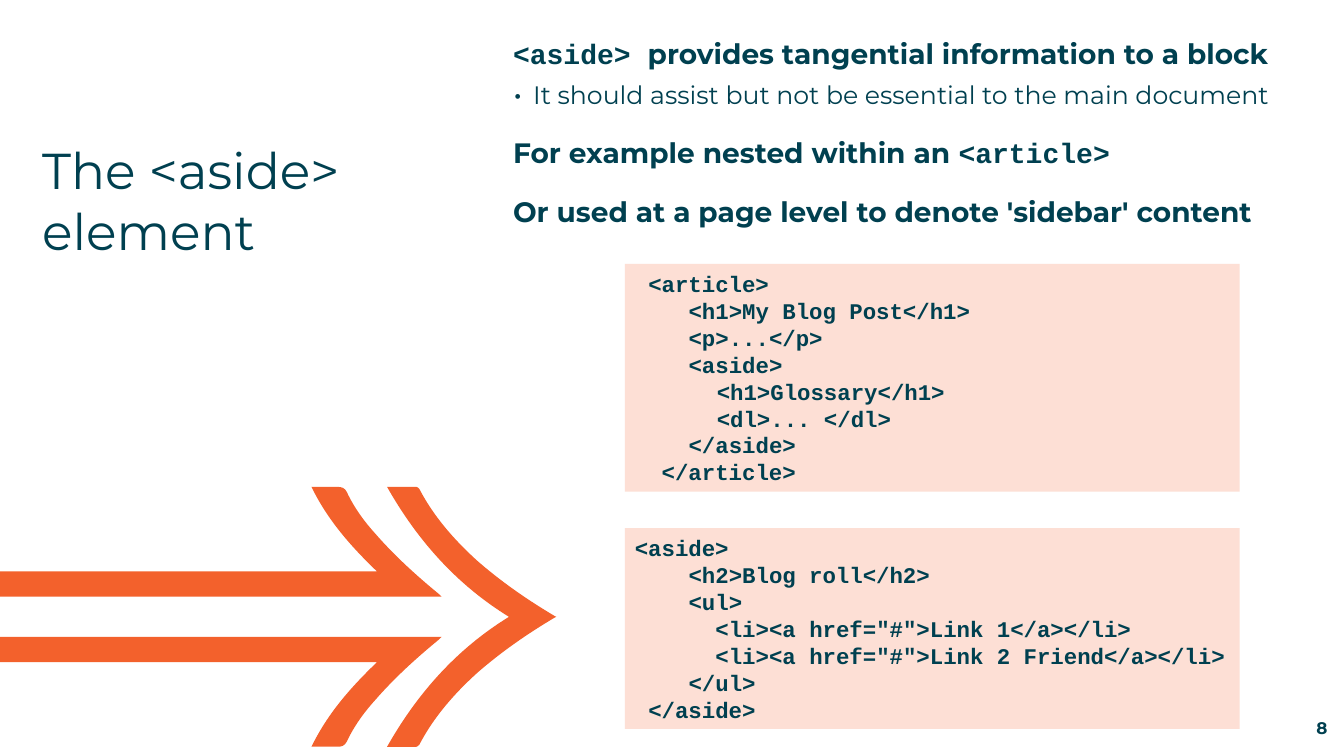
from lxml.etree import SubElement
from pptx import Presentation
from pptx.dml.color import RGBColor
from pptx.enum.shapes import MSO_SHAPE as Shape
from pptx.enum.text import MSO_ANCHOR as Anchor, PP_ALIGN as Align
from pptx.oxml.ns import qn
from pptx.util import Pt

TEAL = RGBColor(0x00, 0x40, 0x50)
ORANGE = RGBColor(0xF3, 0x61, 0x2C)
PEACH = RGBColor(0xFD, 0xDF, 0xD5)
SANS, MONO = "Montserrat", "Courier New"

CODE_SIZE = 16
CODE_CHAR = 0.6 * CODE_SIZE  # width of one monospaced character
AXIS = 440.6  # height of the arrow's line of symmetry

# Arrow outlines: lists of segments, one point for a line and three for a curve
SHAFT = [
    [(0, 426.2)], [(0, 408.2)], [(269.3, 408.2)],
    [(250.6, 390.2), (234, 371.5), (222.5, 347.8)], [(241.2, 347.8)],
    [(244.1, 347.8), (246.2, 348.5), (247.7, 351.4)],
    [(252.7, 362.2), (259.9, 372.2), (267.8, 380.9)],
    [(281.5, 396.7), (297.4, 411.1), (313.2, 424.1)], [(315.4, 426.2)],
]
CHEVRON_TOP = [
    [(363.6, AXIS)],
    [(326.2, 417.6), (298.1, 385.9), (276.5, 347.8)], [(297.4, 347.8)],
    [(298.1, 347.8), (298.8, 348.5), (299.5, 349.2)],
    [(309.6, 368.6), (324, 385.2), (340.6, 400.3)],
    [(357.8, 415.4), (376.6, 428.4), (396, 439.9)], [(397.4, AXIS)],
]


def mirrored(segments):
    return [[(x, 2 * AXIS - y) for x, y in segment] for segment in segments]


def backwards(segments):
    """The segments that lead from the end of an outline back to its start."""
    points = iter(sum(segments, [])[-2::-1])
    return [[next(points) for _ in segment] for segment in segments[:0:-1]]


class SlideBuilder:
    def __init__(self, slide):
        self.shapes = slide.shapes

    def style(self, paragraph, size, name=SANS, bold=False):
        font = paragraph.font
        font.name, font.size, font.bold = name, Pt(size), bold
        font.color.rgb = TEAL

    def plain(self, shape, color):
        shape.shadow.inherit = False
        shape.fill.solid()
        shape.fill.fore_color.rgb = color
        shape.line.fill.background()

    def freeform(self, segments):
        (x, y), *rest = [(Pt(x), Pt(y)) for x, y in sum(segments, [])]
        builder = self.shapes.build_freeform(x, y)
        builder.add_line_segments(rest)
        shape = builder.convert_to_shape()
        self.plain(shape, ORANGE)
        # Join each three points of a curve into one Bezier segment
        steps = iter(list(shape._element.iter(qn("a:lnTo"))))
        for segment in segments[1:]:
            first, *others = [next(steps) for _ in segment]
            if others:
                first.tag = qn("a:cubicBezTo")
            for step in others:
                first.append(step[0])
                step.getparent().remove(step)

    def text_frame(self, left, top, width, height, anchor=Anchor.TOP):
        frame = self.shapes.add_textbox(*map(Pt, (left, top, width, height))).text_frame
        frame.word_wrap = True
        frame.vertical_anchor = anchor
        frame.margin_left = frame.margin_right = frame.margin_top = frame.margin_bottom = 0
        return frame

    def label(self, box, text, size, bold=False, align=Align.LEFT, anchor=Anchor.TOP):
        paragraph = self.text_frame(*box, anchor).paragraphs[0]
        paragraph.text = text
        paragraph.alignment = align
        self.style(paragraph, size, bold=bold)

    def points(self, box, items):
        """Each item is (is_bullet, [(text, font name), ...])."""
        frame = self.text_frame(*box)
        for i, (is_bullet, runs) in enumerate(items):
            paragraph = frame.add_paragraph() if i else frame.paragraphs[0]
            paragraph.space_before = Pt(0 if is_bullet else 12)
            paragraph.space_after = Pt(6.5)
            if is_bullet:
                self.bullet(paragraph)
            self.style(paragraph, 18 if is_bullet else 20, bold=not is_bullet)
            for text, name in runs:
                run = paragraph.add_run()
                run.text = text
                run.font.name = name

    def bullet(self, paragraph):
        props = paragraph._p.get_or_add_pPr()
        props.set("marL", str(Pt(14.4)))
        props.set("indent", str(Pt(-14.4)))
        SubElement(props, qn("a:buSzPct"), val="125000")
        SubElement(props, qn("a:buFont"), typeface=SANS)
        SubElement(props, qn("a:buChar"), char="•")

    def code(self, box, lines):
        """Each line is (indent in characters, text)."""
        panel = self.shapes.add_shape(Shape.RECTANGLE, *map(Pt, box))
        self.plain(panel, PEACH)
        frame = panel.text_frame
        frame.word_wrap = True
        frame.vertical_anchor = Anchor.MIDDLE
        for i, (indent, text) in enumerate(lines):
            paragraph = frame.add_paragraph() if i else frame.paragraphs[0]
            paragraph.text = text
            paragraph.alignment = Align.LEFT
            paragraph.line_spacing = Pt(19.2)
            paragraph._p.get_or_add_pPr().set("marL", str(Pt(indent * CODE_CHAR)))
            self.style(paragraph, CODE_SIZE, MONO, bold=True)


def main():
    deck = Presentation()
    deck.slide_width, deck.slide_height = Pt(960), Pt(540)
    page = SlideBuilder(deck.slides.add_slide(deck.slide_layouts[6]))

    # Arrow: two mirrored shafts and a chevron
    chevron = CHEVRON_TOP + backwards(mirrored(CHEVRON_TOP))
    for part in (SHAFT, chevron, mirrored(SHAFT)):
        page.freeform(part)

    # Page number and title
    page.label((886.3, 512.6, 61.9, 14.4), "8", 12, True, Align.RIGHT, Anchor.BOTTOM)
    page.label((30.2, 99.4, 306.7, 206.6), "The <aside> element", 36)

    # Explanation
    page.points((366.5, 25.9, 563.8, 483.8), [
        (False, [("<aside> ", MONO), ("provides tangential information to a block", SANS)]),
        (True, [("It should assist but not be essential to the main document", SANS)]),
        (False, [("For example nested within an ", SANS), ("<article>", MONO)]),
        (False, [("Or used at a page level to denote 'sidebar' content", SANS)]),
    ])

    # Code samples
    page.code((446.4, 188.6, 439.2, 162.7), [
        (1, "<article>"),
        (4, "<h1>My Blog Post</h1>"),
        (4, "<p>...</p>"),
        (4, "<aside>"),
        (6.1, "<h1>Glossary</h1>"),
        (6.1, "<dl>... </dl>"),
        (4, "</aside>"),
        (2, "</article>"),
    ])
    page.code((446.4, 377.3, 439.2, 143.3), [
        (0, "<aside>"),
        (4, "<h2>Blog roll</h2>"),
        (4, "<ul>"),
        (6, '<li><a href="#">Link 1</a></li>'),
        (6, '<li><a href="#">Link 2 Friend</a></li>'),
        (4, "</ul>"),
        (1, "</aside>"),
    ])

    deck.save("out.pptx")


if __name__ == "__main__":
    main()
